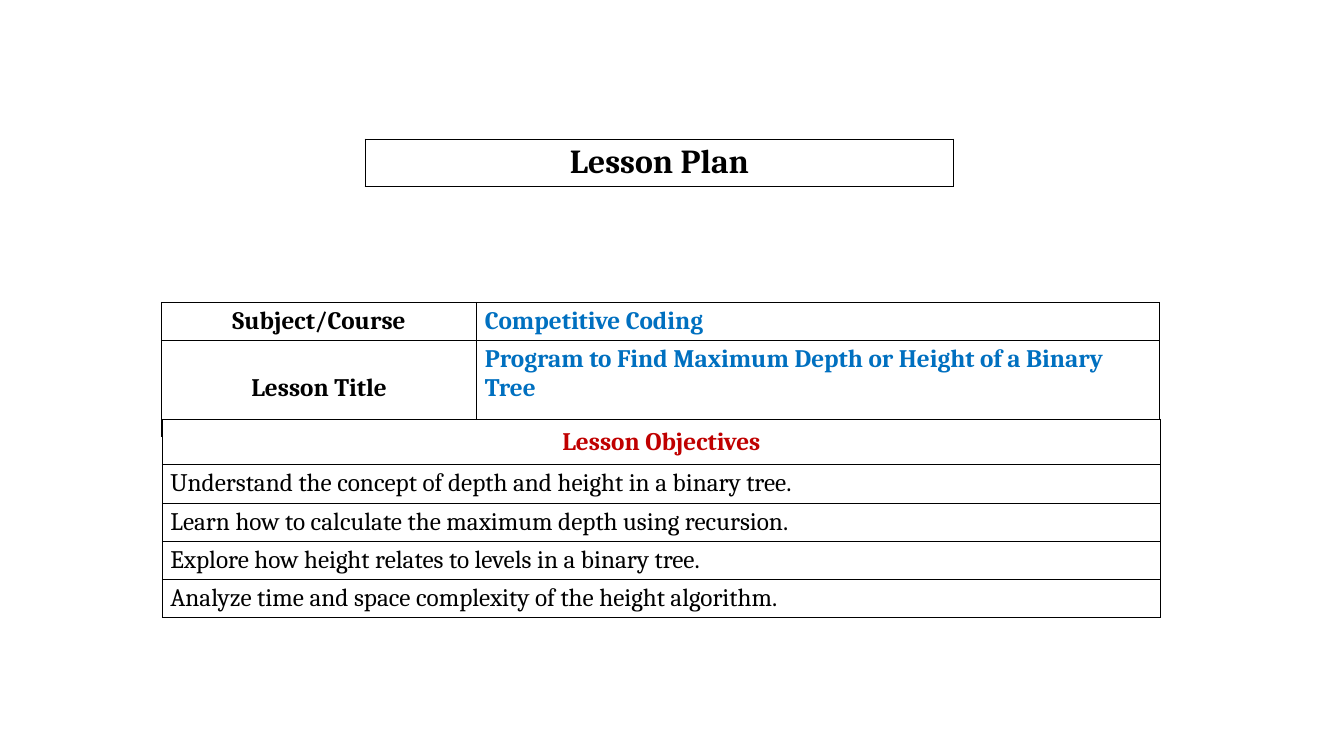
from dataclasses import dataclass

from lxml import etree
from pptx import Presentation
from pptx import util as u
from pptx.dml.color import RGBColor
from pptx.enum import text
from pptx.oxml.ns import qn


@dataclass(frozen=True)
class Theme:
    """Fonts, type sizes, colours and cell measures of the lesson plan."""

    font: str = "Cambria"
    title_size: int = 24
    body_size: int = 18
    ink: str = "000000"
    paper: str = "FFFFFF"
    subject: str = "0070C0"
    objective: str = "C00000"
    border: float = 0.77
    side_inset: float = 0.08
    edge_inset: float = 0.04


@dataclass
class Cell:
    """The wording and look of one table cell."""

    words: str
    colour: str
    bold: bool = True
    centred: bool = False
    size: int = Theme.body_size
    space_below: float = Theme.edge_inset


class LessonPage:
    """A slide together with the style of its tables."""

    def __init__(self, deck, theme):
        """Add a blank slide to the deck."""
        self.theme = theme
        self.page = deck.slides.add_slide(deck.slide_layouts[6])

    def table(self, left, top, widths, heights, rows):
        """Draw a bordered table from rows of cells."""
        frame = self.page.shapes.add_table(
            len(heights), len(widths), u.Inches(left), u.Inches(top),
            u.Inches(sum(widths)), u.Inches(sum(heights)))
        grid = frame.table
        grid.first_row = grid.horz_banding = False
        for column, width in zip(grid.columns, widths):
            column.width = u.Inches(width)
        for row, height, contents in zip(grid.rows, heights, rows):
            row.height = u.Inches(height)
            for box, content in zip(row.cells, contents):
                self.cell(box, content)

    def cell(self, box, content):
        """Write and format one cell."""
        theme = self.theme
        box.margin_left = box.margin_right = u.Inches(theme.side_inset)
        box.margin_top = u.Inches(theme.edge_inset)
        box.margin_bottom = u.Inches(content.space_below)
        box.vertical_anchor = text.MSO_ANCHOR.MIDDLE
        self.borders(box)
        box.fill.solid()
        box.fill.fore_color.rgb = RGBColor.from_string(theme.paper)
        box.text_frame.text = content.words
        para = box.text_frame.paragraphs[0]
        para.alignment = text.PP_ALIGN.CENTER if content.centred else text.PP_ALIGN.LEFT
        font = para.runs[0].font
        font.name = theme.font
        font.size = u.Pt(content.size)
        font.bold = content.bold
        font.color.rgb = RGBColor.from_string(content.colour)

    def borders(self, box):
        """Rule all four sides of a cell."""
        properties = box._tc.get_or_add_tcPr()
        for side in ("a:lnL", "a:lnR", "a:lnT", "a:lnB"):
            line = etree.SubElement(properties, qn(side), w=str(u.Pt(self.theme.border)))
            fill = etree.SubElement(line, qn("a:solidFill"))
            etree.SubElement(fill, qn("a:srgbClr"), val=self.theme.ink)


def main():
    """Build the lesson plan slide."""
    theme = Theme()
    deck = Presentation()
    deck.slide_width, deck.slide_height = u.Inches(13.33), u.Inches(7.5)
    lesson = LessonPage(deck, theme)

    lesson.table(3.62, 1.38, [5.84], [0.47], [
        [Cell("Lesson Plan", theme.ink, centred=True, size=theme.title_size)]])

    lesson.table(1.6, 3, [3.13, 6.77], [0.38, 0.95], [
        [Cell("Subject/Course", theme.ink, centred=True),
         Cell("Competitive Coding", theme.subject)],
        [Cell("Lesson Title", theme.ink, centred=True),
         Cell("Program to Find Maximum Depth or Height of a Binary Tree",
              theme.subject, space_below=0.33)]])

    objectives = [
        "Understand the concept of depth and height in a binary tree.",
        "Learn how to calculate the maximum depth using recursion.",
        "Explore how height relates to levels in a binary tree.",
        "Analyze time and space complexity of the height algorithm."]
    lesson.table(1.61, 4.16, [9.9], [0.45] + [0.38] * len(objectives), [
        [Cell("Lesson Objectives", theme.objective, centred=True)],
        *([Cell(words, theme.ink, bold=False)] for words in objectives)])

    deck.save("out.pptx")


if __name__ == "__main__":
    main()
